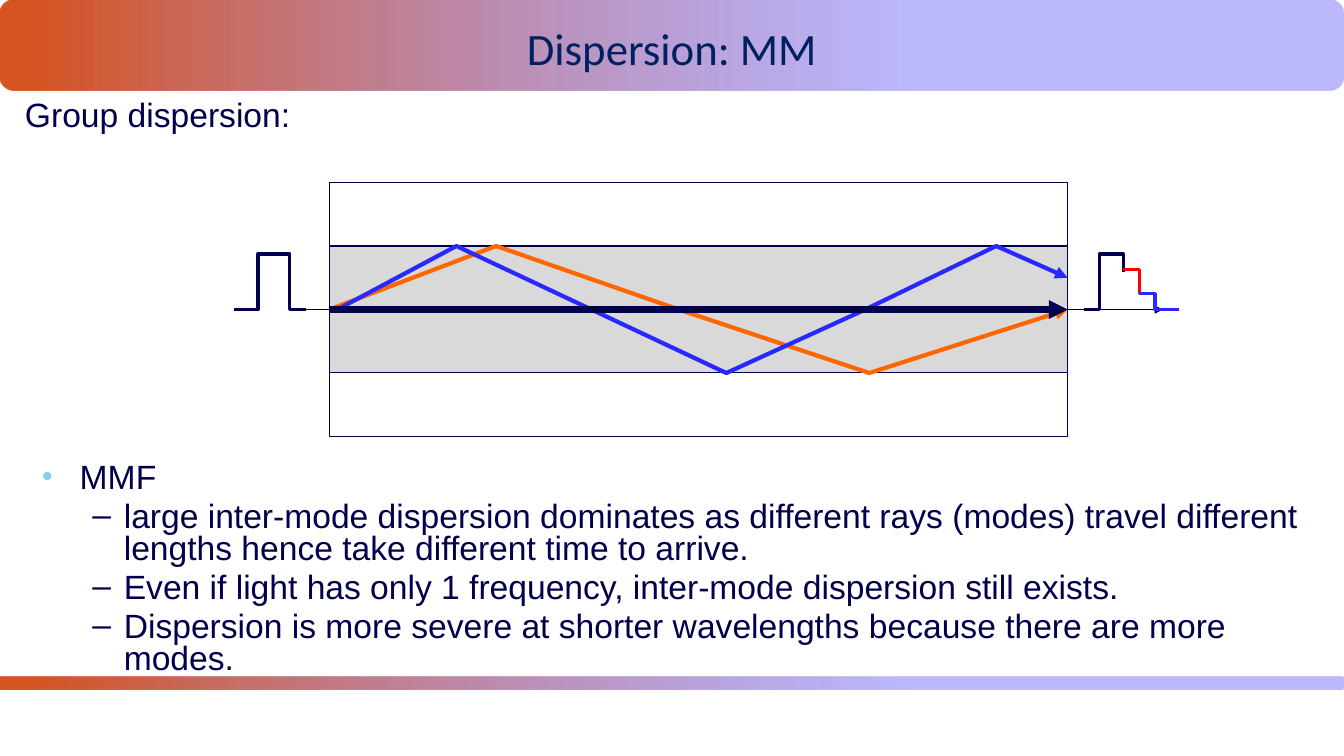
import dataclasses

import pptx
import pptx.dml.color
import pptx.enum.shapes
import pptx.enum.text
import pptx.oxml
import pptx.oxml.ns
import pptx.util

Cm, Pt = pptx.util.Cm, pptx.util.Pt
RGB = pptx.dml.color.RGBColor.from_string
SHAPE = pptx.enum.shapes.MSO_SHAPE
ALIGN = pptx.enum.text.PP_ALIGN
NS = pptx.oxml.ns.nsdecls("a")


@dataclasses.dataclass(frozen=True)
class Theme:
    navy: str = "00004C"
    title: str = "002060"
    rust: str = "D65420"
    lilac: str = "7B75FB"
    core: str = "D9D9D9"
    axis: str = "000000"
    orange: str = "FF6600"
    blue: str = "2929FF"
    red: str = "FF0000"
    dot: str = "86D1EC"
    head: float = 32
    body: float = 24
    thin: float = 0.75
    pulse: float = 2.25
    ray: float = 3
    main: float = 4.5


T = Theme()
WIDE, TALL = 33.86, 19.05


def add_xml(node, xml):
    node.append(pptx.oxml.parse_xml(xml))


def style(item, color, width, arrow=False):
    item.line.color.rgb = RGB(color)
    item.line.width = Pt(width)
    if arrow:
        add_xml(item.line._get_or_add_ln(), f'<a:tailEnd {NS} type="triangle"/>')


def block(slide, kind, box):
    shape = slide.shapes.add_shape(kind, *map(Cm, box))
    shape.shadow.inherit = False
    return shape


def band(slide, box):
    """Rounded bar fading from rust to translucent lilac."""
    bar = block(slide, SHAPE.ROUNDED_RECTANGLE, box)
    bar.line.fill.background()
    bar.fill.gradient()
    bar.fill.gradient_angle = 0
    for stop, spot, color in zip(bar.fill.gradient_stops, (0.02, 0.68), (T.rust, T.lilac)):
        stop.position = spot
        stop.color.rgb = RGB(color)
    fade = list(bar._element.spPr.iter(pptx.oxml.ns.qn("a:srgbClr")))[-1]
    add_xml(fade, f'<a:alpha {NS} val="51000"/>')


def line(slide, start, end, color, width):
    """Straight arrow between two points."""
    kind = pptx.enum.shapes.MSO_CONNECTOR.STRAIGHT
    arrow = slide.shapes.add_connector(kind, *map(Cm, (*start, *end)))
    style(arrow, color, width, True)
    add_xml(arrow._element.spPr, f"<a:effectLst {NS}/>")


def trace(slide, origin, points, color, width, arrow=False):
    """Open outline through points given from an origin."""
    spots = [(Cm(origin[0] + x), Cm(origin[1] + y)) for x, y in points]
    pen = slide.shapes.build_freeform(*spots[0])
    pen.add_line_segments(spots[1:], close=False)
    shape = pen.convert_to_shape()
    shape.shadow.inherit = False
    shape.fill.background()
    style(shape, color, width, arrow)


def bullet(para, left, hang, mark, extra=""):
    props = para._p.get_or_add_pPr()
    props.set("marL", str(Cm(left)))
    props.set("indent", str(-Cm(hang)))
    for xml in (extra, f'<a:buFont {NS} typeface="Arial"/>', f'<a:buChar {NS} char="{mark}"/>'):
        if xml:
            add_xml(props, xml) if xml is not extra else dot(props)


def dot(props):
    add_xml(props, f'<a:buClr {NS}><a:srgbClr val="{T.dot}"/></a:buClr>')
    add_xml(props, f'<a:buSzPct {NS} val="90000"/>')


def write(slide, box, lines, face, size, color, **form):
    """Text box; each line is a pair of bullet level (or None) and words."""
    frame = slide.shapes.add_textbox(*map(Cm, box)).text_frame
    frame.word_wrap = True
    for i, (level, words) in enumerate(lines):
        para = frame.paragraphs[0] if i == 0 else frame.add_paragraph()
        para.text = words
        values = {**form, "level": level or 0}
        if i:
            values["space_before"] = Pt(size * 0.2)
        for name, value in values.items():
            setattr(para, name, value)
        if level == 0:
            bullet(para, 0.95, 0.95, "•", "dot")
        elif level == 1:
            bullet(para, 2.06, 0.79, "–")
        font = para.runs[0].font
        looks = {"name": face, "size": Pt(size)}
        for name, value in looks.items():
            setattr(font, name, value)
        font.color.rgb = RGB(color)


def header(slide, box):
    left, top, width, height = box
    band(slide, box)
    write(slide, (left, top + 0.56, width, 1.17), [(None, "Dispersion: MM")],
          "Calibri", T.head, T.title, line_spacing=0.9, alignment=ALIGN.CENTER)


def notes(slide, box, lines):
    write(slide, box, lines, "Arial", T.body, T.navy, line_spacing=0.8)


def fibre(slide, box):
    """Cladding, core, three rays and the pulses at both ends."""
    left, top, width, height = box
    half = height / 4
    mid = top + height / 2
    start, end = (left, mid), (left + width, mid)

    clad = block(slide, SHAPE.RECTANGLE, box)
    clad.fill.background()
    core = block(slide, SHAPE.RECTANGLE, (left, mid - half, width, 2 * half))
    core.fill.solid()
    core.fill.fore_color.rgb = RGB(T.core)
    for part in (clad, core):
        style(part, T.navy, T.thin)
    line(slide, (left - 1, mid), (end[0] + 2.4, mid), T.axis, T.thin)

    rays = [
        (T.orange, [(0, 0), (4.2, -half), (8.8, 0), (13.6, half), (width, 0)]),
        (T.blue, [(0.2, 0), (3.2, -half), (6.6, 0), (10, half),
                  (13.5, 0), (16.8, -half), (width, -half / 2)]),
    ]
    for color, points in rays:
        trace(slide, start, points, color, T.ray, True)

    pulses = [
        (start, T.navy, [(-2.4, 0), (-1.8, 0), (-1.8, -1.4), (-1, -1.4), (-1, 0), (-0.6, 0)]),
        (end, T.navy, [(0.4, 0), (0.8, 0), (0.8, -1.4), (1.4, -1.4), (1.4, -0.95)]),
        (end, T.red, [(1.4, -1), (1.8, -1), (1.8, -0.4)]),
        (end, T.blue, [(1.8, -0.4), (2.2, -0.4), (2.2, 0), (2.8, 0)]),
    ]
    for origin, color, points in pulses:
        trace(slide, origin, points, color, T.pulse)
    line(slide, start, end, T.navy, T.main)


def main():
    deck = pptx.Presentation()
    deck.slide_width, deck.slide_height = Cm(WIDE), Cm(TALL)
    slide = deck.slides.add_slide(deck.slide_layouts[6])
    header(slide, (0, 0, WIDE, 2.29))
    band(slide, (0, 17.04, WIDE, 0.33))
    fibre(slide, (8.3, 4.6, 18.6, 6.4))
    notes(slide, (0.81, 11.56, 32.66, 4.29), [
        (0, "MMF"),
        (1, "large inter-mode dispersion dominates as different rays (modes) "
            "travel different lengths hence take different time to arrive."),
        (1, "Even if light has only 1 frequency, inter-mode dispersion still exists."),
        (1, "Dispersion is more severe at shorter wavelengths because there are more modes."),
    ])
    notes(slide, (0.38, 2.44, 32.66, 1.37), [(None, "Group dispersion:")])
    deck.save("out.pptx")


if __name__ == "__main__":
    main()
